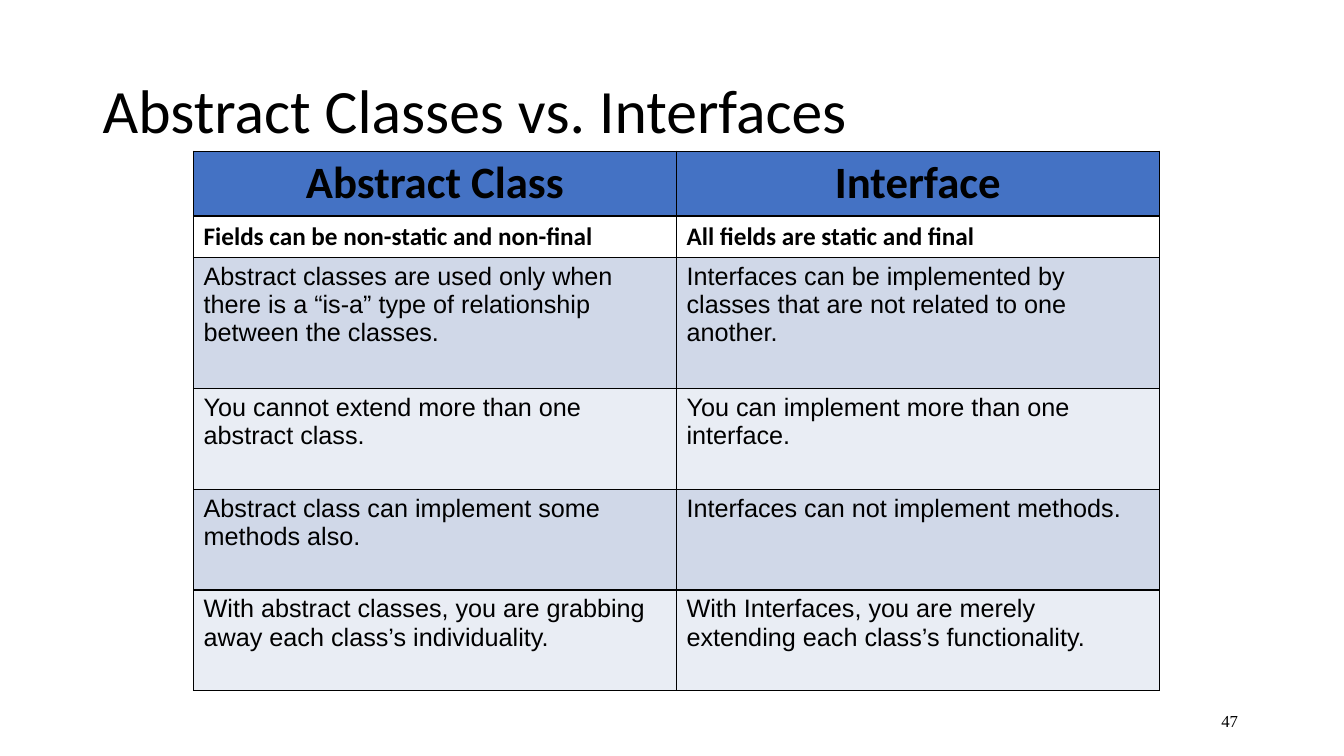
from pptx import Presentation
from pptx.dml.color import RGBColor
from pptx.enum.text import MSO_ANCHOR, PP_ALIGN
from pptx.oxml import parse_xml
from pptx.oxml.ns import nsdecls
from pptx.util import Inches, Pt

COLORS = {"text": "000000", "border": "000000", "header": "4472C4",
          "plain": "FFFFFF", "dark": "D0D8E8", "light": "E9EDF4"}
TITLE = "Abstract Classes vs. Interfaces"
PAGE = "47 "
HEADER = {"size": 32, "font": "Calibri", "bold": True, "align": PP_ALIGN.CENTER}
LEAD = {"size": 18, "font": "Calibri", "bold": True}
BODY = {"size": 18, "font": "Arial"}
ROWS = [
    (0.63, "header", HEADER, ("Abstract Class", "Interface")),
    (0.41, "plain", LEAD, ("Fields can be non-static and non-final",
                           "All fields are static and final")),
    (1.3, "dark", BODY, (
        "Abstract classes are used only when there is a “is-a” type of relationship between the classes.",
        "Interfaces can be implemented by classes that are not related to one another.")),
    (1, "light", BODY, ("You cannot extend more than one abstract class.",
                        "You can implement more than one interface.")),
    (1, "dark", BODY, ("Abstract class can implement some methods also.",
                       "Interfaces can not implement methods.")),
    (1, "light", BODY, (
        "With abstract classes, you are grabbing away each class’s individuality.",
        "With Interfaces, you are merely extending each class’s functionality.")),
]
COL_W = 4.79


def write(tf, text, size, font, bold=False, align=PP_ALIGN.LEFT, spacing=None):
    tf.word_wrap = True
    p = tf.paragraphs[0]
    p.alignment = align
    p.line_spacing = spacing
    r = p.add_run()
    r.text = text
    r.font.size = Pt(size)
    r.font.name = font
    r.font.bold = bold
    r.font.color.rgb = RGBColor.from_string(COLORS["text"])


def add_text(s, box, text, **fmt):
    tf = s.shapes.add_textbox(*map(Inches, box)).text_frame
    tf.vertical_anchor = MSO_ANCHOR.MIDDLE
    write(tf, text, **fmt)


def style_cell(cell, fill):
    tcPr = cell._tc.get_or_add_tcPr()
    for side in ("lnL", "lnR", "lnT", "lnB"):
        tcPr.append(parse_xml(
            f'<a:{side} {nsdecls("a")} w="{Pt(1)}"><a:solidFill>'
            f'<a:srgbClr val="{COLORS["border"]}"/></a:solidFill></a:{side}>'))
    cell.fill.solid()
    cell.fill.fore_color.rgb = RGBColor.from_string(COLORS[fill])


def add_comparison(s):
    total = sum(row[0] for row in ROWS)
    table = s.shapes.add_table(len(ROWS), 2, Inches(1.92), Inches(1.5),
                               Inches(2 * COL_W), Inches(total)).table
    for col in table.columns:
        col.width = Inches(COL_W)
    for i, (height, fill, fmt, texts) in enumerate(ROWS):
        table.rows[i].height = Inches(height)
        for j, text in enumerate(texts):
            cell = table.cell(i, j)
            style_cell(cell, fill)
            write(cell.text_frame, text, **fmt)


def main():
    prs = Presentation()
    prs.slide_width, prs.slide_height = Inches(13.33), Inches(7.5)
    s = prs.slides.add_slide(prs.slide_layouts[6])
    add_comparison(s)
    add_text(s, (0.92, 0.4, 11.5, 1.45), TITLE, size=44, font="Calibri", spacing=0.9)
    add_text(s, (9.42, 6.95, 3, 0.4), PAGE, size=12, font="Times New Roman",
             align=PP_ALIGN.RIGHT)
    prs.save("out.pptx")


if __name__ == "__main__":
    main()
